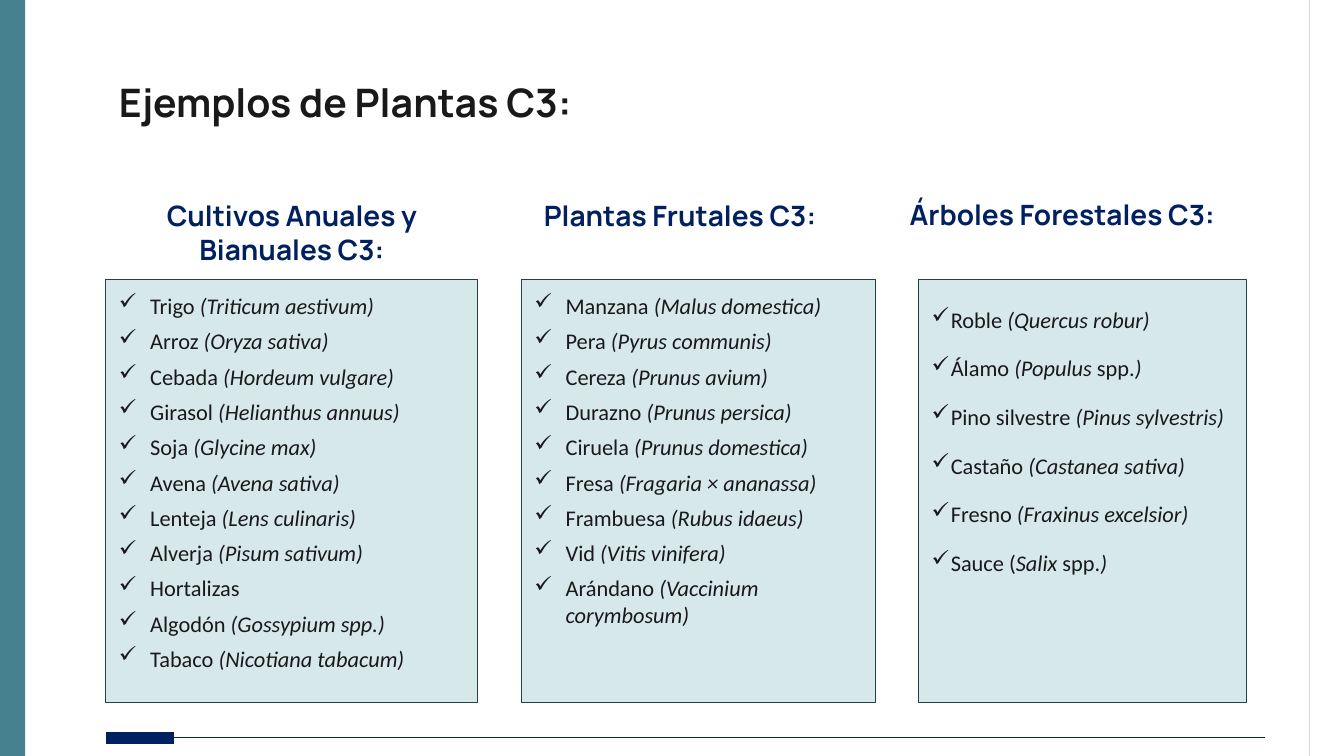
from lxml.etree import SubElement
from pptx import Presentation
from pptx.dml.color import RGBColor
from pptx.enum.shapes import MSO_CONNECTOR, MSO_SHAPE
from pptx.enum.text import MSO_ANCHOR, PP_ALIGN
from pptx.oxml.ns import qn
from pptx.util import Pt

PX = 9144  # one hundredth of an inch
WIDTH, HEIGHT = 1333, 750
INSET = 13
INK, NAVY, TEAL = "191919", "002060", "45818E"
PANEL_FILL, PANEL_LINE, RULE_GREY = "D7E8EB", "224047", "D9D9D9"

# Asterisks switch italics on and off
CROPS = [
    "Trigo *(Triticum aestivum)", "Arroz *(Oryza sativa)",
    "Cebada *(Hordeum vulgare)", "Girasol *(Helianthus annuus)",
    "Soja *(Glycine max)", "Avena *(Avena sativa)",
    "Lenteja *(Lens culinaris)", "Alverja *(Pisum sativum)",
    "Hortalizas", "Algodón *(Gossypium spp.)", "Tabaco *(Nicotiana tabacum)",
]
FRUITS = [
    "Manzana *(Malus domestica)", "Pera *(Pyrus communis)",
    "Cereza *(Prunus avium)", "Durazno *(Prunus persica)",
    "Ciruela *(Prunus domestica)", "Fresa *(Fragaria × ananassa)",
    "Frambuesa *(Rubus idaeus)", "Vid *(Vitis vinifera)",
    "Arándano *(Vaccinium corymbosum)",
]
TREES = [
    "Roble *(Quercus robur)", "Álamo *(Populus *spp.*)",
    "Pino silvestre *(Pinus sylvestris)", "Castaño *(Castanea sativa)",
    "Fresno *(Fraxinus excelsior)", "Sauce (*Salix* spp.*)",
]


def px(*lengths):
    return [length * PX for length in lengths]


def color(hex_string):
    return RGBColor.from_string(hex_string)


def add_rect(page, box, fill, line=None):
    shape = page.shapes.add_shape(MSO_SHAPE.RECTANGLE, *px(*box))
    shape.shadow.inherit = False
    shape.fill.solid()
    shape.fill.fore_color.rgb = color(fill)
    if line:
        shape.line.color.rgb = color(line)
        shape.line.width = Pt(0.75)
    else:
        shape.line.fill.background()
    return shape


def add_line(page, start, end, line, width=0.75):
    rule = page.shapes.add_connector(MSO_CONNECTOR.STRAIGHT, *px(*start, *end))
    rule.line.color.rgb = color(line)
    rule.line.width = Pt(width)
    SubElement(rule._element.spPr, qn("a:effectLst"))


def set_frame(frame, anchor):
    frame.word_wrap = True
    frame.vertical_anchor = anchor
    inset = INSET * PX
    frame.margin_left = frame.margin_right = inset
    frame.margin_top = frame.margin_bottom = inset


def write(para, text, size, font, ink=INK, bold=False, align=PP_ALIGN.LEFT):
    para.alignment = align
    for index, part in enumerate(text.split("*")):
        span = para.add_run()
        span.text = part
        span.font.size = Pt(size)
        span.font.name = font
        span.font.color.rgb = color(ink)
        span.font.bold = bold
        span.font.italic = index % 2 == 1


def add_check(para, indent):
    props = para._p.get_or_add_pPr()
    props.set("marL", str(indent * PX))
    props.set("indent", str(-indent * PX))
    tint = SubElement(props, qn("a:buClr"))
    SubElement(tint, qn("a:srgbClr"), val=INK)
    SubElement(props, qn("a:buChar"), char="✓")


def add_text(page, box, text, anchor=MSO_ANCHOR.TOP, **style):
    frame = page.shapes.add_textbox(*px(*box)).text_frame
    set_frame(frame, anchor)
    write(frame.paragraphs[0], text, font="Manrope", bold=True, **style)


def add_list(page, box, items, indent, spacing):
    frame = add_rect(page, box, PANEL_FILL, PANEL_LINE).text_frame
    set_frame(frame, MSO_ANCHOR.TOP)
    for index, item in enumerate(items):
        para = frame.add_paragraph() if index else frame.paragraphs[0]
        add_check(para, indent)
        para.line_spacing = spacing
        para.space_after = Pt(6)
        write(para, item, 16, "Calibri")


def add_frame(page):
    add_rect(page, (0, 0, 25, HEIGHT), TEAL)
    add_line(page, (1299, 0), (1299, HEIGHT), RULE_GREY)


def add_footer(page, left, middle, right, top):
    add_line(page, (left, top), (middle, top), NAVY, 9)
    add_line(page, (middle, top), (right, top), NAVY)


def add_columns(page, top, panel_top, panel_height):
    # heading, its left and height, then panel left, width, items, indent, spacing
    columns = [
        ("Cultivos Anuales y Bianuales C3:", 105, 118, 105, 369, CROPS, 31, 1.0),
        ("Plantas Frutales C3:", 490, 84, 517, 351, FRUITS, 31, 1.0),
        ("Árboles Forestales C3:", 869, 83, 911, 325, TREES, 19, 1.5),
    ]
    for heading, left, height, panel_left, width, items, indent, spacing in columns:
        add_text(page, (left, top, 369, height), heading, MSO_ANCHOR.BOTTOM,
                 size=20, ink=NAVY, align=PP_ALIGN.CENTER)
        add_list(page, (panel_left, panel_top, width, panel_height),
                 items, indent, spacing)


def main():
    deck = Presentation()
    deck.slide_width, deck.slide_height = px(WIDTH, HEIGHT)
    page = deck.slides.add_slide(deck.slide_layouts[6])
    add_frame(page)
    add_text(page, (105, 65, 1123, 84), "Ejemplos de Plantas C3:", size=28)
    add_columns(page, 159, 277, 420)
    add_footer(page, 105, 173, 1255, 732)
    deck.save("out.pptx")


if __name__ == "__main__":
    main()
